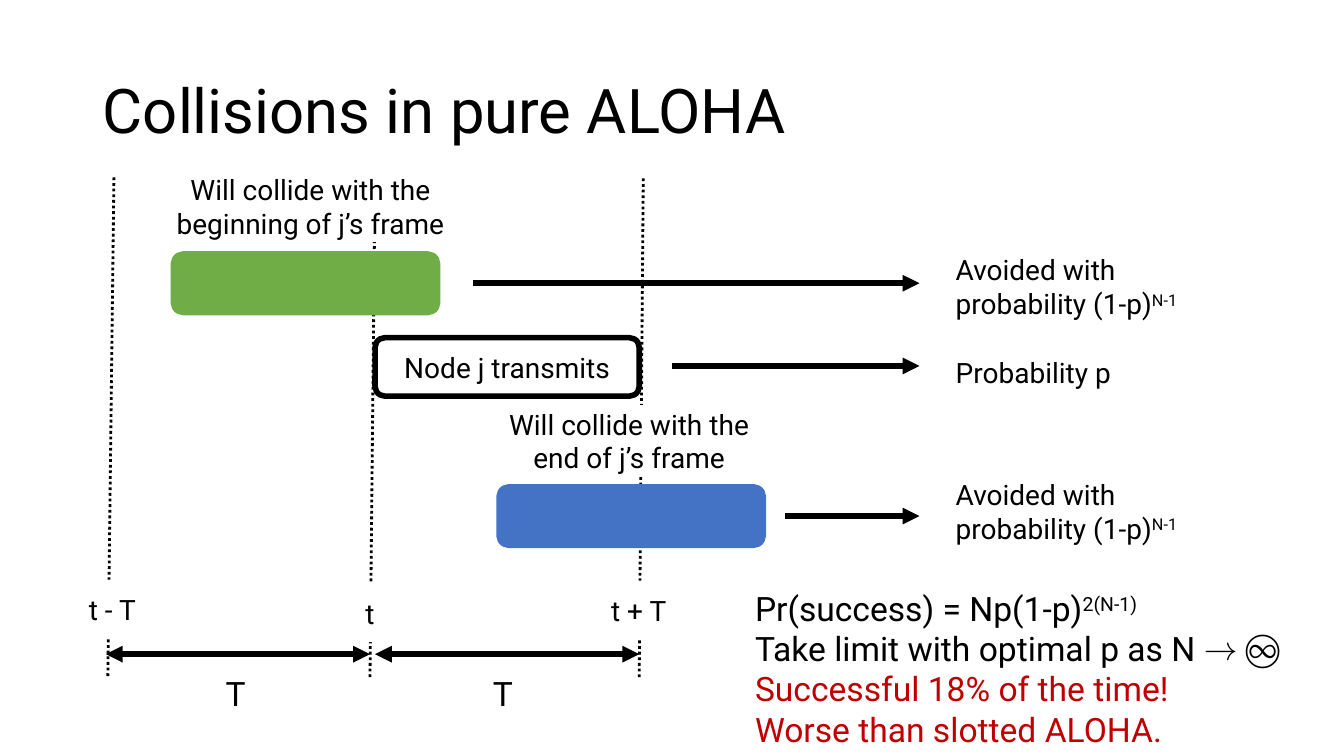
from dataclasses import dataclass

from lxml import etree
from pptx import Presentation
from pptx.dml.color import RGBColor
from pptx.enum.dml import MSO_LINE
from pptx.enum.shapes import MSO_CONNECTOR, MSO_SHAPE
from pptx.enum.text import MSO_ANCHOR, MSO_AUTO_SIZE, PP_ALIGN
from pptx.oxml.ns import qn
from pptx.slide import Slide
from pptx.util import Inches, Pt

STRAIGHT = MSO_CONNECTOR.STRAIGHT
ROUNDED = MSO_SHAPE.ROUNDED_RECTANGLE
DOTTED = MSO_LINE.ROUND_DOT
MIDDLE = MSO_ANCHOR.MIDDLE
LEFT, CENTER = PP_ALIGN.LEFT, PP_ALIGN.CENTER
FIT_SHAPE, NO_FIT = MSO_AUTO_SIZE.SHAPE_TO_FIT_TEXT, MSO_AUTO_SIZE.NONE

FONT = "Roboto"
BLACK, WHITE, GREEN, BLUE, RED = "000000", "FFFFFF", "70AD47", "4472C4", "C00000"
FRAME_WIDTH, BOX_HEIGHT, CAPTION_HEIGHT = 2.62, 0.58, 0.71
ARROW_END = 9.12
SPAN_Y = 6.49


@dataclass
class Box:
    left: float
    top: float
    width: float
    height: float
    text: str = ""
    fill: str = WHITE
    outline: str = ""


@dataclass
class Line:
    start: tuple[float, float]
    end: tuple[float, float]
    width: float = 4
    dotted: bool = False
    head: bool = False
    tail: bool = False


@dataclass
class TextLine:
    text: str
    superscript: str = ""
    color: str = BLACK


@dataclass
class Note:
    left: float
    top: float
    width: float
    height: float
    size: int
    lines: list[TextLine]


TIME_MARKERS = [
    Line((1.13, 1.76), (1.07, 6.71), 2, dotted=True),
    Line((3.72, 1.77), (3.67, 6.72), 2, dotted=True),
    Line((6.38, 1.77), (6.34, 6.72), 2, dotted=True),
]
BOXES = [
    Box(3.72, 3.35, FRAME_WIDTH, BOX_HEIGHT, "Node j transmits", outline=BLACK),
    Box(3.42, 5.79, 0.5, BOX_HEIGHT, "t"),
    Box(0.68, 5.75, 0.87, BOX_HEIGHT, "t - T"),
    Box(5.9, 5.76, 0.87, BOX_HEIGHT, "t + T"),
    Box(4.95, 4.83, FRAME_WIDTH, BOX_HEIGHT, fill=BLUE, outline=BLUE),
    Box(1.72, 2.52, FRAME_WIDTH, BOX_HEIGHT, fill=GREEN, outline=GREEN),
    Box(1.53, 1.69, 3.1, CAPTION_HEIGHT, "Will collide with the beginning of j’s frame"),
    Box(4.69, 4.02, 3.1, CAPTION_HEIGHT, "Will collide with the end of j’s frame"),
]
SPANS = [
    Line((left, SPAN_Y), (left + FRAME_WIDTH, SPAN_Y), head=True, tail=True)
    for left in (1.05, 3.72)
]
ARROWS = [
    Line((left, y), (ARROW_END, y), tail=True)
    for left, y in ((4.69, 2.81), (6.67, 3.63), (7.79, 5.12))
]
AVOIDED = [TextLine("Avoided with probability (1-p)", "N-1")]
NOTES = [
    Note(2.14, 6.63, 0.46, 0.5, 24, [TextLine("T")]),
    Note(4.79, 6.63, 0.46, 0.5, 24, [TextLine("T")]),
    Note(9.38, 3.48, 2.61, 0.44, 20, [TextLine("Probability p")]),
    Note(9.38, 2.46, 2.88, 0.77, 20, AVOIDED),
    Note(9.38, 4.69, 2.88, 0.77, 20, AVOIDED),
    Note(7.39, 5.78, 5.44, 1.72, 24, [
        TextLine("Pr(success) = Np(1-p)", "2(N-1)"),
        TextLine("Take limit with optimal p as N → ♾"),
        TextLine("Successful 18% of the time!", color=RED),
        TextLine("Worse than slotted ALOHA.", color=RED),
    ]),
]


def rgb(color: str) -> RGBColor:
    return RGBColor.from_string(color)


def format_font(paragraph, size: int, color: str = BLACK) -> None:
    paragraph.font.name = FONT
    paragraph.font.size = Pt(size)
    paragraph.font.color.rgb = rgb(color)


def add_title(slide: Slide, text: str) -> None:
    title = slide.shapes.title
    title.left, title.top = Inches(0.92), Inches(0.4)
    title.width, title.height = Inches(11.5), Inches(1.45)
    frame = title.text_frame
    frame.text = text
    frame.auto_size = NO_FIT
    frame.vertical_anchor = MIDDLE
    paragraph = frame.paragraphs[0]
    paragraph.alignment = LEFT
    paragraph.line_spacing = 0.9
    format_font(paragraph, 44)


def add_line(slide: Slide, line: Line) -> None:
    points = [Inches(value) for value in (*line.start, *line.end)]
    connector = slide.shapes.add_connector(STRAIGHT, *points)
    connector.line.color.rgb = rgb(BLACK)
    connector.line.width = Pt(line.width)
    if line.dotted:
        connector.line.dash_style = DOTTED
    properties = connector.element.spPr
    outline = properties.find(qn("a:ln"))
    for tag, wanted in (("a:headEnd", line.head), ("a:tailEnd", line.tail)):
        if wanted:
            etree.SubElement(outline, qn(tag), type="triangle")
    etree.SubElement(properties, qn("a:effectLst"))


def add_box(slide: Slide, box: Box) -> None:
    shape = slide.shapes.add_shape(
        ROUNDED, Inches(box.left), Inches(box.top), Inches(box.width), Inches(box.height)
    )
    shape.shadow.inherit = False
    shape.fill.solid()
    shape.fill.fore_color.rgb = rgb(box.fill)
    if box.outline:
        shape.line.color.rgb = rgb(box.outline)
        shape.line.width = Pt(4)
    else:
        shape.line.fill.background()
    if box.text:
        shape.text_frame.text = box.text
        shape.text_frame.vertical_anchor = MIDDLE
        paragraph = shape.text_frame.paragraphs[0]
        paragraph.alignment = CENTER
        format_font(paragraph, 20)


def add_note(slide: Slide, note: Note) -> None:
    shape = slide.shapes.add_textbox(
        Inches(note.left), Inches(note.top), Inches(note.width), Inches(note.height)
    )
    frame = shape.text_frame
    frame.word_wrap = True
    frame.auto_size = FIT_SHAPE
    for index, line in enumerate(note.lines):
        paragraph = frame.add_paragraph() if index else frame.paragraphs[0]
        format_font(paragraph, note.size, line.color)
        paragraph.add_run().text = line.text
        if line.superscript:
            run = paragraph.add_run()
            run.text = line.superscript
            run._r.get_or_add_rPr().set("baseline", "30000")


def main() -> None:
    presentation = Presentation()
    presentation.slide_width, presentation.slide_height = Inches(13.33), Inches(7.5)
    slide = presentation.slides.add_slide(presentation.slide_layouts[5])
    add_title(slide, "Collisions in pure ALOHA")
    for marker in TIME_MARKERS:
        add_line(slide, marker)
    for box in BOXES:
        add_box(slide, box)
    for line in SPANS + ARROWS:
        add_line(slide, line)
    for note in NOTES:
        add_note(slide, note)
    presentation.save("out.pptx")


if __name__ == "__main__":
    main()
